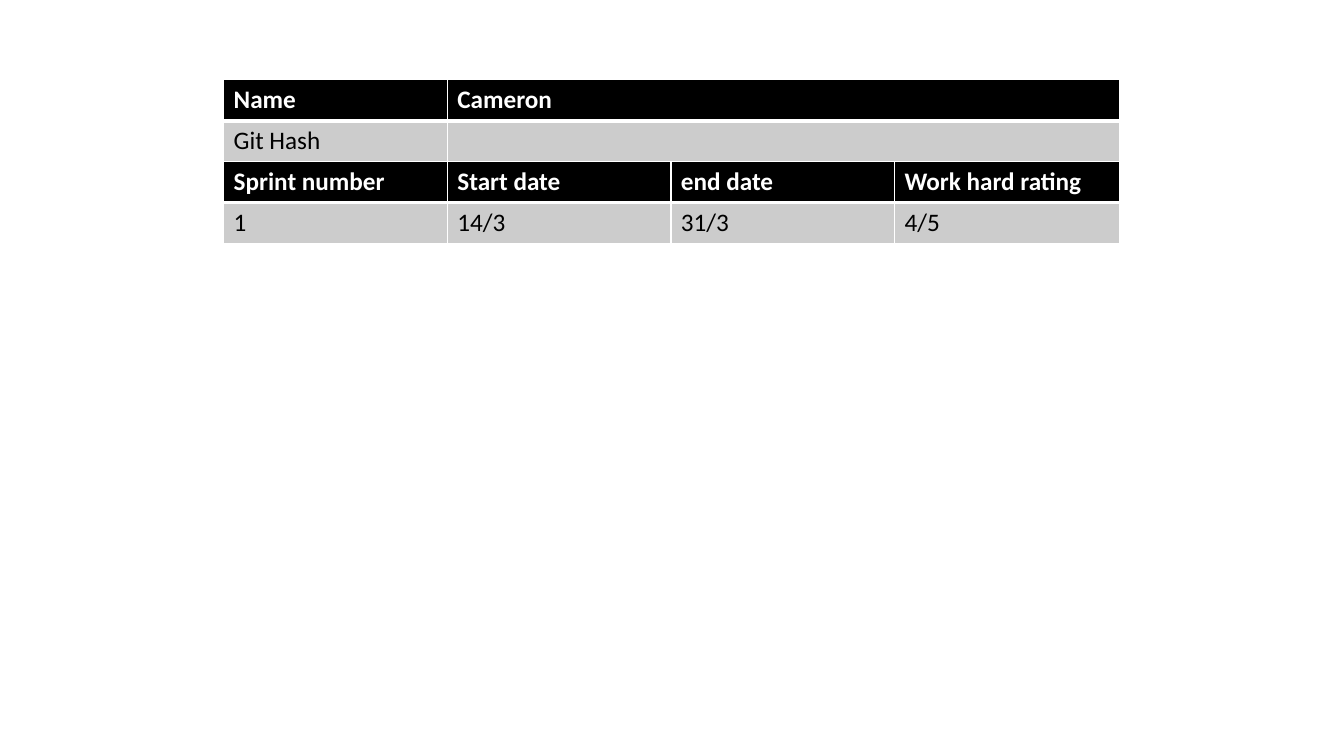
"""Build a sprint summary slide with an identity table above a sprint table."""
from dataclasses import dataclass

from lxml import etree
from pptx import Presentation
from pptx.dml.color import RGBColor
from pptx.enum.text import MSO_ANCHOR
from pptx.oxml.ns import qn
from pptx.slide import Slide
from pptx.table import _Cell
from pptx.util import Emu, Pt

ANCHOR_TOP = MSO_ANCHOR.TOP
BLANK_LAYOUT = 6
EMU_PER_PX = 9525
SLIDE_WIDTH, SLIDE_HEIGHT = 1280, 720
TABLE_LEFT, TABLES_TOP = 213, 76
ROW_HEIGHT = 39


@dataclass(frozen=True)
class Theme:
    font: str = "Calibri"
    text_size: int = 18
    header_fill: str = "000000"
    header_text: str = "FFFFFF"
    body_fill: str = "CCCCCC"
    body_text: str = "000000"
    border: str = "FFFFFF"
    thin: int = 1
    thick: int = 3


@dataclass(frozen=True)
class SprintTable:
    column_widths: tuple[int, ...]
    header: tuple[str, ...]
    body: tuple[str, ...]


THEME = Theme()
TABLES = (
    SprintTable((213, 640), ("Name", "Cameron"), ("Git Hash", "")),
    SprintTable(
        (213, 213, 213, 214),
        ("Sprint number", "Start date", "end date", "Work hard rating"),
        ("1", "14/3", "31/3", "4/5"),
    ),
)


def px(length: int) -> Emu:
    return Emu(length * EMU_PER_PX)


def draw_borders(cell: _Cell, is_header: bool) -> None:
    properties = cell._tc.get_or_add_tcPr()
    thick_side = "lnB" if is_header else "lnT"
    for side in ("lnL", "lnR", "lnT", "lnB"):
        width = THEME.thick if side == thick_side else THEME.thin
        border = etree.SubElement(properties, qn(f"a:{side}"), w=str(Pt(width)))
        fill = etree.SubElement(border, qn("a:solidFill"))
        etree.SubElement(fill, qn("a:srgbClr"), val=THEME.border)


def fill_cell(cell: _Cell, text: str, is_header: bool) -> None:
    draw_borders(cell, is_header)
    cell.fill.solid()
    cell.fill.fore_color.rgb = RGBColor.from_string(
        THEME.header_fill if is_header else THEME.body_fill
    )
    cell.vertical_anchor = ANCHOR_TOP
    cell.text = text
    font = cell.text_frame.paragraphs[0].font
    font.name = THEME.font
    font.size = Pt(THEME.text_size)
    font.bold = is_header
    font.color.rgb = RGBColor.from_string(
        THEME.header_text if is_header else THEME.body_text
    )


def draw_table(slide: Slide, content: SprintTable, top: int) -> int:
    rows = (content.header, content.body)
    height = ROW_HEIGHT * len(rows)
    grid = slide.shapes.add_table(
        len(rows), len(content.column_widths), px(TABLE_LEFT), px(top),
        px(sum(content.column_widths)), px(height),
    ).table
    for column, width in zip(grid.columns, content.column_widths):
        column.width = px(width)
    for row_index, texts in enumerate(rows):
        for column_index, text in enumerate(texts):
            fill_cell(grid.cell(row_index, column_index), text, row_index == 0)
    return top + height


def main() -> None:
    deck = Presentation()
    deck.slide_width, deck.slide_height = px(SLIDE_WIDTH), px(SLIDE_HEIGHT)
    slide = deck.slides.add_slide(deck.slide_layouts[BLANK_LAYOUT])
    top = TABLES_TOP
    for content in TABLES:
        top = draw_table(slide, content, top)
    deck.save("out.pptx")


if __name__ == "__main__":
    main()
